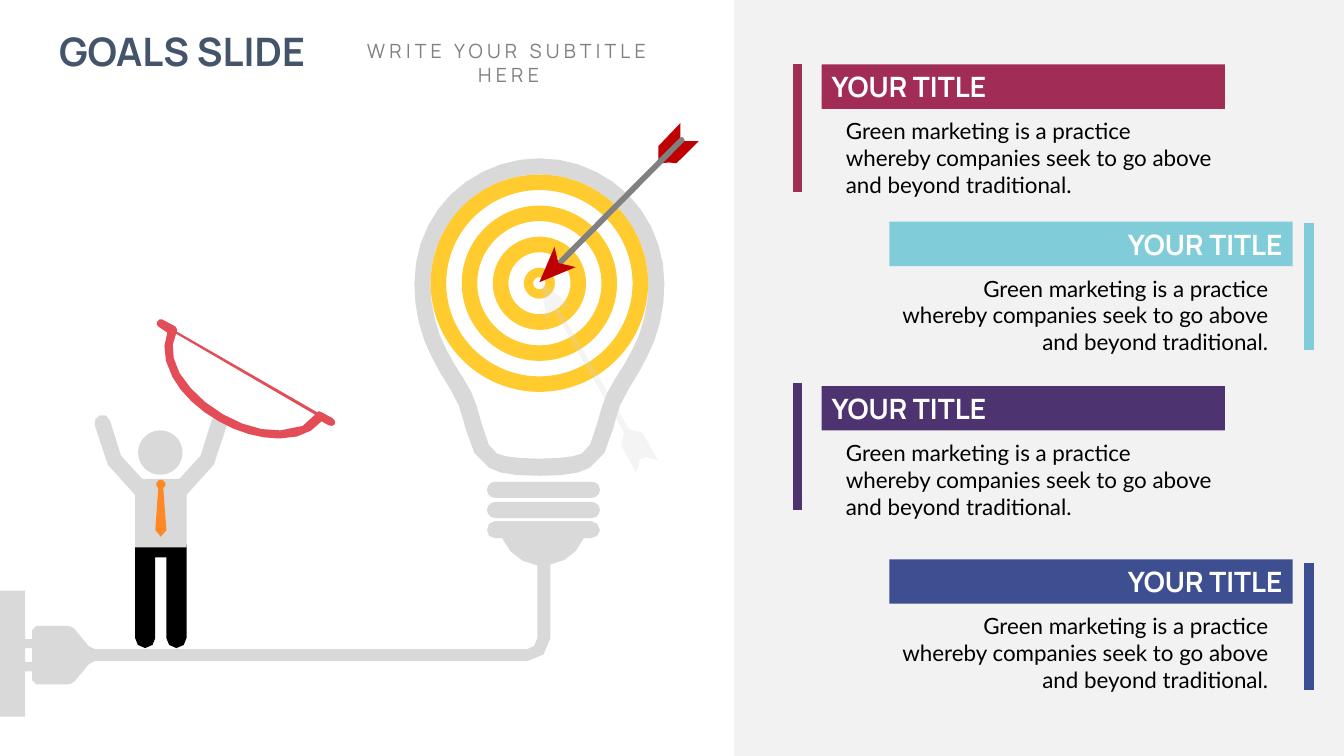
import math
from dataclasses import dataclass

from lxml import etree
from pptx import Presentation
from pptx import util as u
from pptx.dml.color import RGBColor
from pptx.enum import shapes as kinds, text
from pptx.oxml.ns import qn

COLUMNS, ROWS = 1333, 750
CELL = u.Inches(0.01)
RING = 15.4


@dataclass(frozen=True)
class Theme:
    heading: str = "Manrope"
    body: str = "Lato"
    title_size: int = 28
    subtitle_size: int = 14
    header_size: int = 20
    body_size: int = 16
    navy: str = "44546A"
    grey: str = "808080"
    silver: str = "D9D9D9"
    panel: str = "F2F2F2"
    white: str = "FFFFFF"
    black: str = "000000"
    gold: str = "FFCB2E"
    dart: str = "C00000"
    tie: str = "FF8826"
    bow: str = "E34D57"


THEME = Theme()
GOAL_TITLE = "YOUR TITLE"
GOAL_TEXT = ("Green marketing is a practice whereby companies seek to go above "
             "and beyond traditional.")
GOALS = [
    ("A12D56", False, 64, 64),
    ("80CDD9", True, 220, 221),
    ("4D3370", False, 383, 380),
    ("3D4F91", True, 555, 559),
]

CABLE = ("L 586,517 491,517 C 486,517 483,521 483,526 483,530 486,534 491,534 L 498,534 "
         "C 504,548 517,559 533,561 L 533,633 C 533,639 528,644 523,644 L 94,644 88,641 "
         "74,624 C 72,622 69,621 67,621 L 36,621 32,625 32,634 25,634 25,586 0,586 "
         "0,711 25,711 25,666 32,666 32,675 36,679 67,679 C 69,679 72,678 74,676 "
         "L 88,659 94,656 523,656 C 535,656 546,646 546,633 L 546,560 "
         "C 561,558 573,548 579,534 L 586,534 C 591,534 595,530 595,526 "
         "595,521 591,517 586,517")
PRONG = "L 32,643 32,657 25,657 25,643"
BULB_INSIDE = ("L 535,455 C 512,455 500,453 493,450 485,445 483,438 481,430 "
               "L 478,421 476,414 C 473,403 469,389 460,376 "
               "449,360 442,346 436,332 430,315 427,299 427,281 427,252 438,225 459,205 "
               "479,184 506,173 535,173")
BULB_OUTSIDE = ("L 535,472 C 509,472 495,470 485,464 471,456 467,443 465,434 "
                "L 462,426 460,418 C 457,408 454,396 446,385 "
                "435,368 427,353 421,338 414,319 411,301 411,281 411,248 424,216 447,193 "
                "471,170 502,157 535,157")
FEATHERS = ("L 693,140 671,162 C 666,161 661,161 656,162 L 678,140",
            "L 675,122 675,138 653,160 653,145")
SHAFT = "L 551,265 550,263 551,261 674,137 676,136 678,137 679,139 678,141 555,265 553,266"
ARROWHEAD = "L 535,280 550,245 554,261 571,265"
ARROW_SHADE = ("L 653,457 639,453 638,455 635,455 631,469 616,442 619,429 549,307 542,318 "
               "537,280 567,304 553,304 624,426 637,429")
LEG = "L 134,540 134,633 C 134,638 138,643 144,643 150,643 154,638 154,633 L 154,553"
ARM = ("L 134,543 134,491 107,461 106,458 94,422 C 93,418 95,413 99,412 "
       "103,410 108,413 109,417 L 120,452 141,475")
NECKTIE = "L 160,533 154,526 157,484 155,482 155,479 158,476"
BOWSTRING = "L 317,414 171,329 170,327 172,327 318,411 319,413"
BOW = ("L 276,435 C 257,435 236,429 217,418 197,407 180,391 171,374 162,358 161,342 166,330 "
       "L 157,324 C 155,323 155,321 156,319 157,317 159,316 161,317 L 174,324 "
       "C 176,326 176,328 175,330 169,341 170,355 178,370 187,385 202,400 221,411 "
       "240,422 260,428 278,427 295,427 308,421 314,410 315,408 317,407 319,409 "
       "L 330,415 C 332,416 333,419 332,421 331,423 328,423 326,422 L 319,418 "
       "C 310,429 296,435 278,435")


def cells(*counts):
    return [round(count * CELL) for count in counts]


def assign(target, values):
    for attribute, value in values.items():
        setattr(target, attribute, value)


def curve(knots):
    chord = math.dist(knots[0], knots[-1])
    steps = max(2, math.ceil(chord / 20)) if chord > 4 else 1
    for step in range(1, steps + 1):
        t = step / steps
        shares = [math.comb(3, i) * t**i * (1 - t)**(3 - i) for i in range(4)]
        yield tuple(sum(s * k[axis] for s, k in zip(shares, knots)) for axis in (0, 1))


def contour(route):
    points, pending, needed = [], [], 1
    for token in route.split():
        if token in "LC":
            needed = 1 if token == "L" else 3
            continue
        pending.append(tuple(int(number) for number in token.split(",")))
        if len(pending) == needed:
            points += pending if needed == 1 else list(curve([points[-1], *pending]))
            pending = []
    return points


def mirrored(route, axis):
    half = contour(route)
    return half + [(2 * axis - x, y) for x, y in reversed(half)]


def paint(shape, color):
    shape.shadow.inherit = False
    shape.fill.solid()
    shape.fill.fore_color.rgb = RGBColor.from_string(color)
    shape.line.fill.background()
    return shape


def add_outline(parent, contours, color):
    builder = None
    for points in contours:
        start, *rest = [cells(*point) for point in points]
        if builder is None:
            builder = parent.build_freeform(*start, scale=1.0)
        else:
            builder.move_to(*start)
        builder.add_line_segments(rest, close=True)
    return paint(builder.convert_to_shape(), color)


def add_preset(parent, kind, place, color):
    return paint(parent.add_shape(kind, *cells(*place)), color)


def write(shape, words, color, font, frame, align):
    assign(shape.text_frame, frame)
    paragraph = shape.text_frame.paragraphs[0]
    paragraph.alignment = align
    run = paragraph.add_run()
    run.text = words
    assign(run.font, font)
    run.font.color.rgb = RGBColor.from_string(color)
    return run


def add_heading(slide):
    title = slide.shapes.title
    assign(title, dict(zip(("left", "top", "width", "height"), cells(48, 22, 265, 57))))
    write(title, "GOALS SLIDE", THEME.navy,
          {"name": THEME.heading, "size": u.Pt(THEME.title_size), "bold": True},
          {"word_wrap": False, "vertical_anchor": text.MSO_ANCHOR.TOP,
           "auto_size": text.MSO_AUTO_SIZE.SHAPE_TO_FIT_TEXT}, text.PP_ALIGN.CENTER)
    subtitle = slide.shapes.add_textbox(*cells(321, 34, 367, 34))
    run = write(subtitle, "WRITE YOUR SUBTITLE HERE", THEME.grey,
                {"name": THEME.heading, "size": u.Pt(THEME.subtitle_size)},
                {"word_wrap": True}, text.PP_ALIGN.CENTER)
    run.font._element.set("spc", "300")


def add_goal(slide, color, flush_right, top, bar_top):
    align = text.PP_ALIGN.RIGHT if flush_right else text.PP_ALIGN.LEFT
    header_left, body_left, bar_x = (882, 865, 1298) if flush_right else (815, 815, 791)
    header = add_preset(slide.shapes, kinds.MSO_SHAPE.RECTANGLE,
                        (header_left, top, 400, 44), color)
    write(header, GOAL_TITLE, THEME.white,
          {"name": THEME.heading, "size": u.Pt(THEME.header_size), "bold": True},
          {"vertical_anchor": text.MSO_ANCHOR.MIDDLE, "word_wrap": True}, align)
    body = slide.shapes.add_textbox(*cells(body_left, top + 40.5, 417, 105))
    side, edge = cells(24, 12)
    write(body, GOAL_TEXT, THEME.black,
          {"name": THEME.body, "size": u.Pt(THEME.body_size)},
          {"word_wrap": True, "margin_left": side, "margin_right": side,
           "margin_top": edge, "margin_bottom": edge}, align)
    bar = slide.shapes.add_connector(kinds.MSO_CONNECTOR.STRAIGHT,
                                     *cells(bar_x, bar_top, bar_x, bar_top + 126))
    bar.line.width = u.Pt(7)
    bar.line.color.rgb = RGBColor.from_string(color)
    etree.SubElement(bar._element.spPr, qn("a:effectLst"))


def add_bulb(slide):
    add_outline(slide.shapes, [contour(PRONG), contour(CABLE)], THEME.silver)
    for top in (478, 498):
        thread = add_preset(slide.shapes, kinds.MSO_SHAPE.ROUNDED_RECTANGLE,
                            (483, top, 112, 16), THEME.silver)
        thread.adjustments[0] = 0.5
    add_outline(slide.shapes, [mirrored(BULB_INSIDE, 535), mirrored(BULB_OUTSIDE, 535)],
                THEME.silver)


def add_target(slide):
    for ring in (7, 5, 3, 1):
        radius = RING * ring
        band = add_preset(slide.shapes, kinds.MSO_SHAPE.DONUT,
                          (535 - radius, 281 - radius, 2 * radius, 2 * radius), THEME.gold)
        band.adjustments[0] = 0.5 / ring if ring > 1 else 0.3


def add_arrow(slide):
    arrow = slide.shapes.add_group_shape().shapes
    add_outline(arrow, [contour(feather) for feather in FEATHERS], THEME.dart)
    add_outline(arrow, [contour(SHAFT)], THEME.grey)
    add_outline(arrow, [contour(ARROWHEAD)], THEME.dart)


def add_archer(slide):
    archer = slide.shapes.add_group_shape().shapes
    add_preset(archer, kinds.MSO_SHAPE.OVAL, (137, 427, 44, 44), THEME.silver)
    for half, color in ((LEG, THEME.black), (ARM, THEME.silver), (NECKTIE, THEME.tie)):
        add_outline(archer, [mirrored(half, 159.5)], color)
    for part in (BOWSTRING, BOW):
        add_outline(archer, [contour(part)], THEME.bow)


def add_arrow_shade(slide):
    shade = add_outline(slide.shapes, [contour(ARROW_SHADE)], THEME.silver)
    tint = shade._element.spPr.find(".//" + qn("a:srgbClr"))
    etree.SubElement(tint, qn("a:alpha"), val="28000")


def main():
    deck = Presentation()
    assign(deck, {"slide_width": COLUMNS * CELL, "slide_height": ROWS * CELL})
    slide = deck.slides.add_slide(deck.slide_layouts.get_by_name("Title Only"))
    add_preset(slide.shapes, kinds.MSO_SHAPE.RECTANGLE, (728, 0, 605, ROWS), THEME.panel)
    add_heading(slide)
    add_bulb(slide)
    add_target(slide)
    add_arrow(slide)
    add_archer(slide)
    add_arrow_shade(slide)
    for goal in GOALS:
        add_goal(slide, *goal)
    deck.save("out.pptx")


if __name__ == "__main__":
    main()
